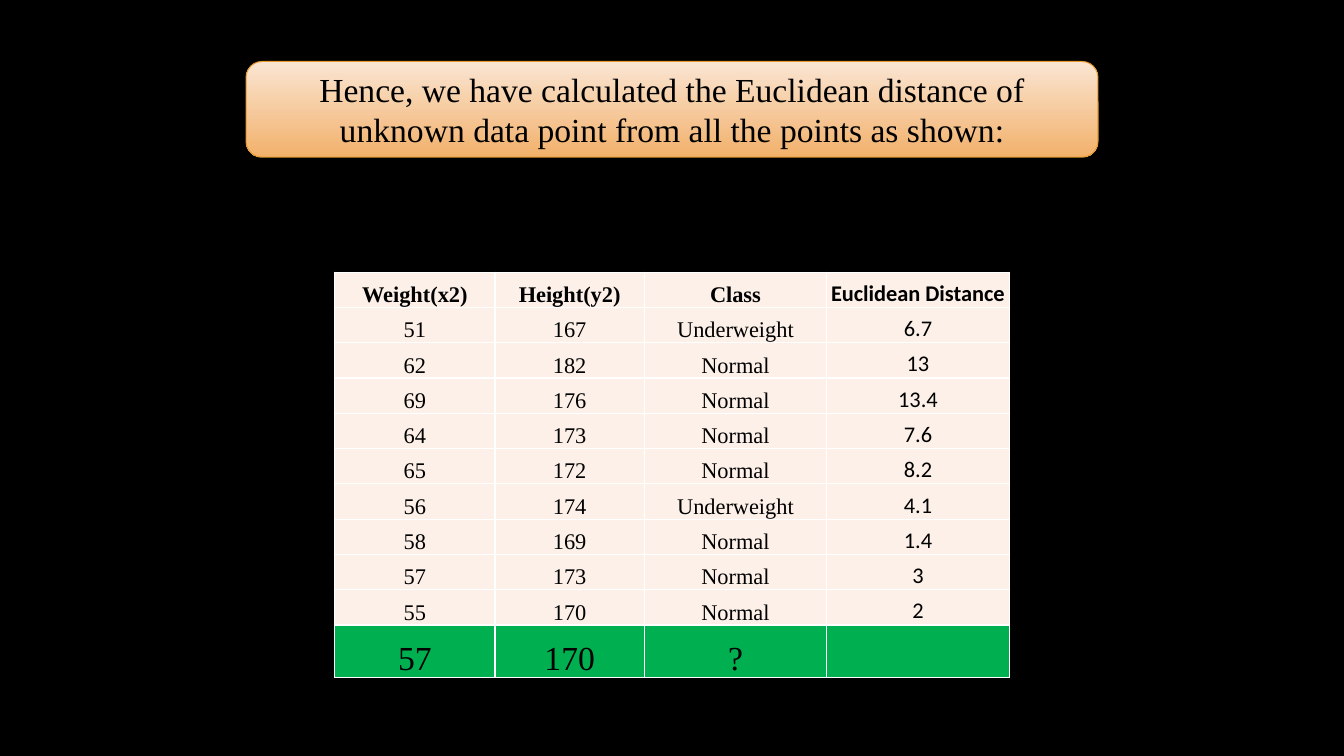
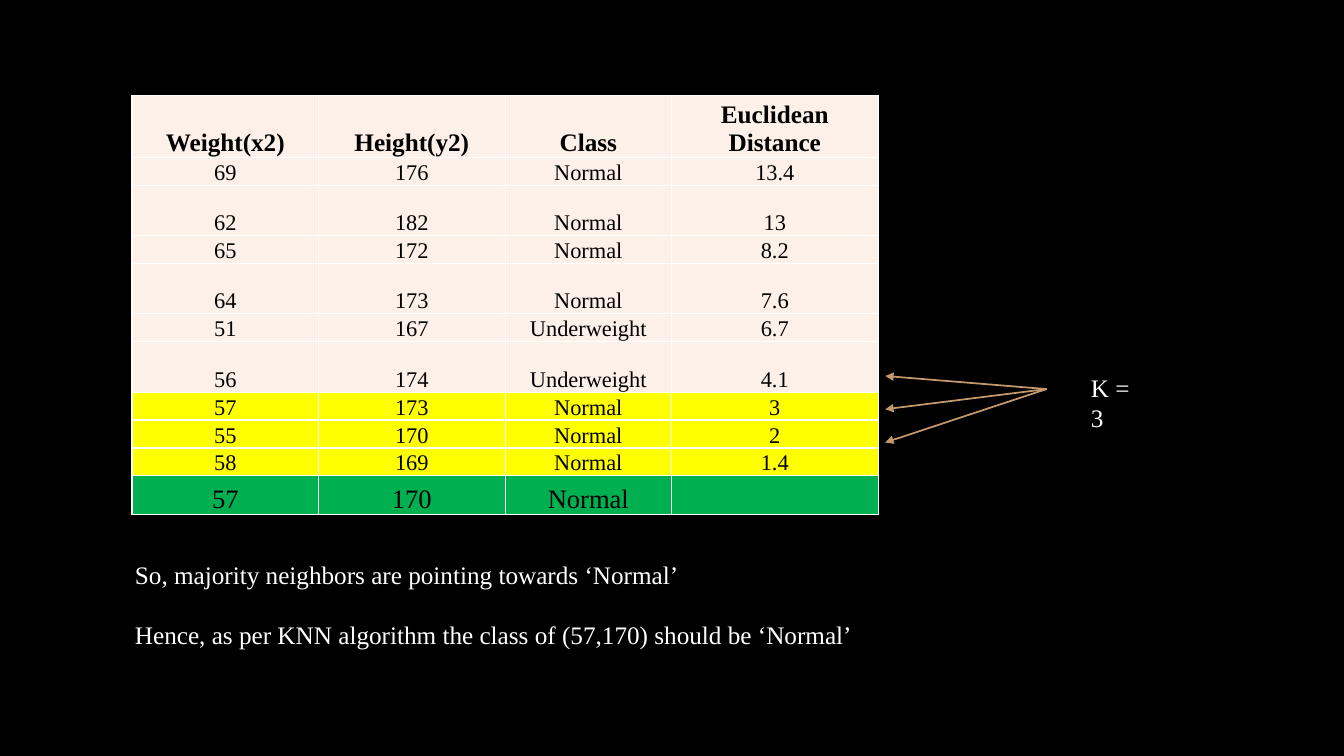
from lxml import etree
from pptx import Presentation
from pptx.dml.color import RGBColor
from pptx.enum import shapes, text
from pptx.oxml import ns
from pptx.util import Inches, Pt

BLACK = RGBColor(0x00, 0x00, 0x00)
WHITE = RGBColor(0xFF, 0xFF, 0xFF)
CREAM = RGBColor(0xFC, 0xF0, 0xE8)
GREEN = RGBColor(0x00, 0xB0, 0x50)
YELLOW = RGBColor(0xFF, 0xFF, 0x00)
PEACH = RGBColor(0xFA, 0xE5, 0xD3)
APRICOT = RGBColor(0xF2, 0xB1, 0x6B)
ORANGE = RGBColor(0xE5, 0x9B, 0x2C)
TAN = RGBColor(0xC3, 0x98, 0x6D)

SERIF = "Times New Roman"
SANS = "Calibri"

HEADER = ("Weight(x2)", "Height(y2)", "Class", "Euclidean Distance")
SAMPLES = [
    (51, 167, "Underweight", 6.7),
    (62, 182, "Normal", 13),
    (69, 176, "Normal", 13.4),
    (64, 173, "Normal", 7.6),
    (65, 172, "Normal", 8.2),
    (56, 174, "Underweight", 4.1),
    (58, 169, "Normal", 1.4),
    (57, 173, "Normal", 3),
    (55, 170, "Normal", 2),
]
NEIGHBOURS = 3


def format_runs(paragraph, size, color, font=SERIF, bold=False):
    """Give every run of a paragraph the same character format."""
    for run in paragraph.runs:
        run.font.size = Pt(size)
        run.font.name = font
        run.font.bold = bold
        run.font.color.rgb = color


def add_borders(cell):
    """Draw a thin white line on each side of a table cell."""
    properties = cell._tc.get_or_add_tcPr()
    for side in ("a:lnL", "a:lnR", "a:lnT", "a:lnB"):
        border = etree.SubElement(properties, ns.qn(side), w=str(Pt(1)))
        solid = etree.SubElement(border, ns.qn("a:solidFill"))
        etree.SubElement(solid, ns.qn("a:srgbClr"), val=str(WHITE))


def fill_cell(cell, value, fill, size, font, bold):
    """Write a centred value at the bottom of a filled, bordered cell."""
    add_borders(cell)
    cell.fill.solid()
    cell.fill.fore_color.rgb = fill
    cell.vertical_anchor = text.MSO_ANCHOR.BOTTOM
    cell.margin_left = cell.margin_right = cell.margin_top = Inches(0.01)
    cell.margin_bottom = 0
    paragraph = cell.text_frame.paragraphs[0]
    paragraph.text = str(value)
    paragraph.alignment = text.PP_ALIGN.CENTER
    format_runs(paragraph, size, BLACK, font, bold)


def add_data_table(slide, left, top, widths, heights, samples, predicted,
                   header_size, query_size, distance_font=SERIF, highlighted=0):
    """Tabulate the samples, marking the last ones and the query point."""
    rows = [HEADER, *samples, (57, 170, predicted, "")]
    query = len(rows) - 1
    table = slide.shapes.add_table(
        len(rows), len(HEADER), Inches(left), Inches(top),
        Inches(sum(widths)), Inches(sum(heights))).table
    table.first_row = table.horz_banding = False
    for column, width in zip(table.columns, widths):
        column.width = Inches(width)
    for row, height in zip(table.rows, heights):
        row.height = Inches(height)
    for r, values in enumerate(rows):
        fill, size = CREAM, 16
        if r == 0:
            size = header_size
        elif r == query:
            fill, size = GREEN, query_size
        elif r >= query - highlighted:
            fill = YELLOW
        for c, value in enumerate(values):
            font = distance_font if c == len(HEADER) - 1 else SERIF
            fill_cell(table.cell(r, c), value, fill, size, font, r == 0)


def add_banner(slide, left, top, width, height, wording):
    """Add a rounded banner with a vertical orange gradient."""
    banner = slide.shapes.add_shape(
        shapes.MSO_SHAPE.ROUNDED_RECTANGLE,
        Inches(left), Inches(top), Inches(width), Inches(height))
    banner.shadow.inherit = False
    banner.fill.gradient()
    banner.fill.gradient_angle = 270
    for stop, color, position in zip(
            banner.fill.gradient_stops, (PEACH, APRICOT), (0, 1)):
        stop.color.rgb = color
        stop.position = position
    banner.line.color.rgb = ORANGE
    banner.line.width = Pt(0.75)
    frame = banner.text_frame
    frame.word_wrap = True
    frame.vertical_anchor = text.MSO_ANCHOR.MIDDLE
    frame.text = wording
    frame.paragraphs[0].alignment = text.PP_ALIGN.CENTER
    format_runs(frame.paragraphs[0], 24, BLACK)


def add_note(slide, left, top, width, height, *lines):
    """Add white text with a line-high gap between its paragraphs."""
    frame = slide.shapes.add_textbox(
        Inches(left), Inches(top), Inches(width), Inches(height)).text_frame
    frame.word_wrap = True
    frame.text = "\n".join(lines)
    for index, paragraph in enumerate(frame.paragraphs):
        if index:
            paragraph.space_before = Pt(21)
        format_runs(paragraph, 18, WHITE)


def add_arrow(slide, start, end):
    """Add a thin tan arrow between two points."""
    arrow = slide.shapes.add_connector(
        shapes.MSO_CONNECTOR.STRAIGHT, *map(Inches, start + end))
    arrow.line.color.rgb = TAN
    arrow.line.width = Pt(1.25)
    properties = arrow.element.spPr
    etree.SubElement(
        properties.find(ns.qn("a:ln")), ns.qn("a:tailEnd"), type="triangle")
    etree.SubElement(properties, ns.qn("a:effectLst"))


def build_distances(slide):
    """Show the distance of every sample from the unknown point."""
    add_data_table(
        slide, 3.32, 2.7, [1.59, 1.48, 1.81, 1.81], [0.35] * 10 + [0.52],
        SAMPLES, "?", header_size=16, query_size=24, distance_font=SANS)
    add_banner(
        slide, 2.44, 0.61, 8.45, 0.95,
        "Hence, we have calculated the Euclidean distance of unknown "
        "data point from all the points as shown:")


def build_neighbours(slide):
    """Show the nearest samples and the class they predict."""
    for tip in (3.73, 4.06, 4.39):
        add_arrow(slide, (10.38, 3.86), (8.78, tip))
    add_note(slide, 10.72, 3.64, 0.75, 0.4, f"K = {NEIGHBOURS}")
    add_note(
        slide, 1.24, 5.5, 7.9, 1.01,
        "So, majority neighbors are pointing towards ‘Normal’",
        "Hence, as per KNN algorithm the class of (57,170) should be ‘Normal’")
    farthest_first = sorted(
        SAMPLES, key=lambda sample: sample[-1], reverse=True)
    add_data_table(
        slide, 1.31, 0.95, [1.85, 1.85, 1.65, 2.05],
        [0.39] + [0.25, 0.5] * 3 + [0.25] * 3 + [0.38],
        farthest_first, "Normal", header_size=18, query_size=19,
        highlighted=NEIGHBOURS)


def main():
    """Build and save the presentation."""
    deck = Presentation()
    deck.slide_width, deck.slide_height = Inches(13.33), Inches(7.5)
    backdrop = deck.slide_master.background.fill
    backdrop.solid()
    backdrop.fore_color.rgb = BLACK
    for build in (build_distances, build_neighbours):
        build(deck.slides.add_slide(deck.slide_layouts[6]))
    deck.save("out.pptx")


if __name__ == "__main__":
    main()
